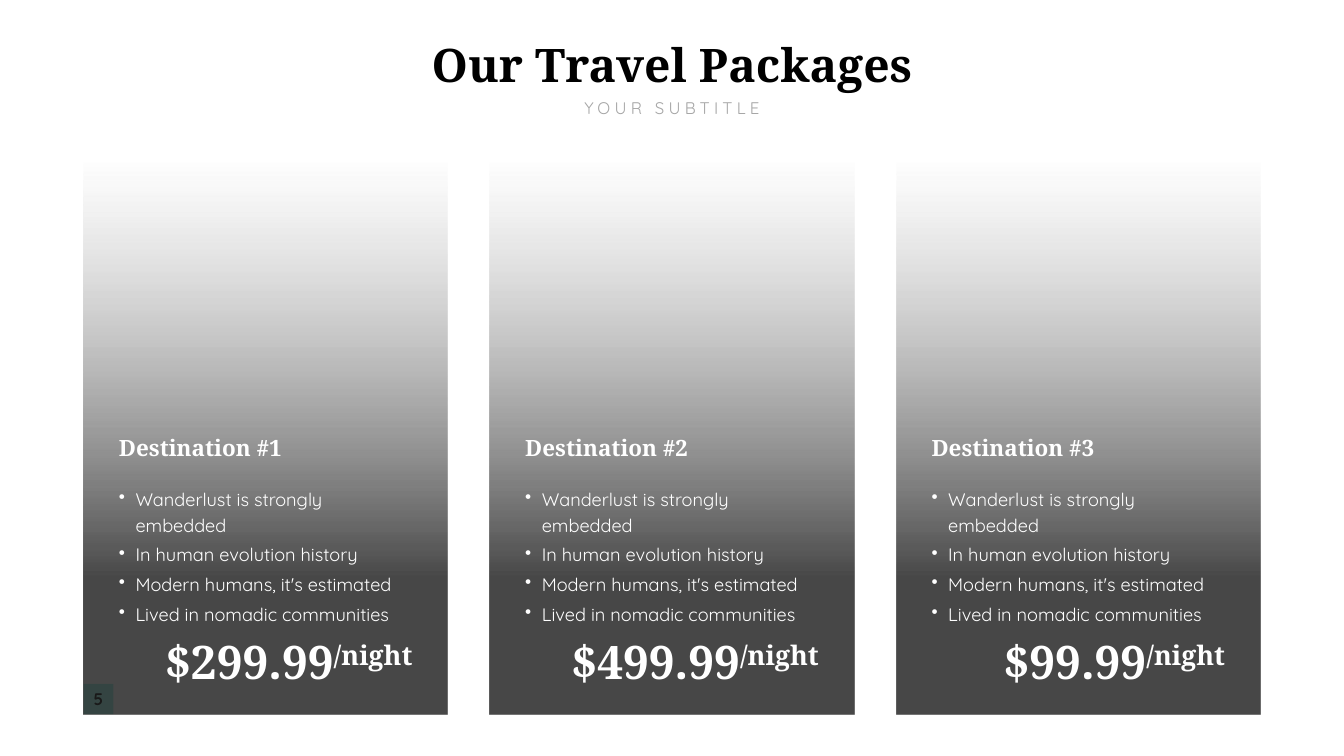
from dataclasses import dataclass

import pptx
import pptx.dml.color
import pptx.enum.shapes
import pptx.enum.text
import pptx.oxml.ns
import pptx.oxml.xmlchemy
import pptx.util
from lxml import etree
from pptx.util import Inches

COLORS = {
    "title": "000000",
    "subtitle": "A6A6A6",
    "card_text": "FFFFFF",
    "fade_top": "808080",
    "fade_bottom": "0D0D0D",
    "number_fill": "B0F3E7",
    "number_text": "424242",
}
SERIF = "Noto Serif"
SANS = "Quicksand"
LEFT = pptx.enum.text.PP_ALIGN.LEFT
CENTER = pptx.enum.text.PP_ALIGN.CENTER
RIGHT = pptx.enum.text.PP_ALIGN.RIGHT
TOP = pptx.enum.text.MSO_ANCHOR.TOP
MIDDLE = pptx.enum.text.MSO_ANCHOR.MIDDLE

CARD_LEFT, CARD_TOP = 1.66, 3.2
CARD_WIDTH, CARD_HEIGHT = 7.22, 10.97
CARD_PITCH = 8.06
TEXT_INSET = 0.6
FEATURES = [
    "Wanderlust is strongly embedded",
    "In human evolution history",
    "Modern humans, it's estimated\u00a0",
    "Lived in nomadic communities",
]


@dataclass
class Package:
    name: str
    price: str
    price_width: float


PACKAGES = [
    Package("Destination #1", "$299.99", 5.39),
    Package("Destination #2", "$499.99", 5.39),
    Package("Destination #3", "$99.99", 4.87),
]


def rgb(name: str):
    return pptx.dml.color.RGBColor.from_string(COLORS[name])


def place(shape, left: float, top: float, width: float, height: float) -> None:
    shape.left, shape.top = Inches(left), Inches(top)
    shape.width, shape.height = Inches(width), Inches(height)


def add_rectangle(slide, left: float, top: float, width: float, height: float):
    shape = slide.shapes.add_shape(
        pptx.enum.shapes.MSO_SHAPE.RECTANGLE,
        Inches(left), Inches(top), Inches(width), Inches(height),
    )
    shape.shadow.inherit = False
    shape.line.fill.background()
    return shape


def add_text_box(slide, left: float, top: float, width: float, height: float):
    return slide.shapes.add_textbox(
        Inches(left), Inches(top), Inches(width), Inches(height)
    )


def add_bullet(paragraph) -> None:
    properties = paragraph._p.get_or_add_pPr()
    properties.set("marL", str(Inches(0.33)))
    properties.set("indent", str(-Inches(0.33)))
    bullet = etree.SubElement(properties, pptx.oxml.ns.qn("a:buChar"))
    bullet.set("char", "•")


def write_text(shape, paragraphs: list[str], *, size: float, font: str, color: str,
               bold: bool = False, align=LEFT, anchor=TOP, wrap: bool = False,
               spacing: float = 0, superscript: str = "", bullets: bool = False) -> None:
    """Fill a shape with text; spacing is between letters, in points."""
    frame = shape.text_frame
    frame.word_wrap = wrap
    frame.auto_size = pptx.enum.text.MSO_AUTO_SIZE.SHAPE_TO_FIT_TEXT
    frame.vertical_anchor = anchor
    for index, text in enumerate(paragraphs):
        paragraph = frame.add_paragraph() if index else frame.paragraphs[0]
        paragraph.alignment = align
        if bullets:
            paragraph.line_spacing = pptx.util.Pt(37)
            paragraph.space_before = pptx.util.Pt(5.2 if index else 0)
            add_bullet(paragraph)
        for part in filter(None, (text, superscript)):
            run = paragraph.add_run()
            run.text = part
            run.font.size = pptx.util.Pt(size)
            run.font.name = font
            run.font.bold = bold
            run.font.color.rgb = rgb(color)
            properties = run._r.get_or_add_rPr()
            if spacing:
                properties.set("spc", str(round(spacing * 100)))
            if part == superscript:
                properties.set("baseline", "30000")


def fade_down(shape) -> None:
    """Fill from fully transparent at the top to 75% opaque."""
    shape.fill.gradient()
    shape.fill.gradient_angle = 270
    fades = [(0, "fade_top", 0), (0.75, "fade_bottom", 75)]
    for stop, (position, color, opacity) in zip(shape.fill.gradient_stops, fades):
        stop.position = position
        stop.color.rgb = rgb(color)
    stop_colors = shape._element.spPr.iter(pptx.oxml.ns.qn("a:srgbClr"))
    for element, (position, color, opacity) in zip(list(stop_colors), fades):
        alpha = etree.SubElement(element, pptx.oxml.ns.qn("a:alpha"))
        alpha.set("val", str(opacity * 1000))


def add_package_text(slide, package: Package, card_left: float) -> None:
    left = card_left + TEXT_INSET
    width = CARD_WIDTH - 2 * TEXT_INSET
    write_text(add_text_box(slide, left, 8.56, 3.46, 0.64), [package.name],
               size=32, font=SERIF, color="card_text", bold=True, anchor=MIDDLE)
    write_text(add_text_box(slide, left, 9.56, width, 2.42), FEATURES,
               size=26, font=SANS, color="card_text", wrap=True, bullets=True)
    price_left = left + width - package.price_width
    write_text(add_text_box(slide, price_left, 12.51, package.price_width, 1.21),
               [package.price], superscript="/night", size=66, font=SERIF,
               color="card_text", bold=True, align=RIGHT, anchor=MIDDLE)


def main() -> None:
    presentation = pptx.Presentation()
    presentation.slide_width = Inches(26.66)
    presentation.slide_height = Inches(15)
    slide = presentation.slides.add_slide(presentation.slide_layouts[5])

    title = slide.shapes.title
    place(title, 8.41, 0.67, 9.84, 1.21)
    write_text(title, ["Our Travel Packages"], size=66, font=SERIF,
               color="title", bold=True, align=CENTER)
    write_text(add_text_box(slide, 11.4, 1.88, 3.86, 0.5), ["YOUR SUBTITLE"],
               size=24, font=SANS, color="subtitle", align=CENTER, spacing=6)

    page_number = add_rectangle(slide, CARD_LEFT, 13.57, 0.59, 0.6)
    page_number.fill.solid()
    page_number.fill.fore_color.rgb = rgb("number_fill")
    write_text(page_number, ["5"], size=24, font=SANS, color="number_text",
               bold=True, align=CENTER, anchor=MIDDLE)

    for index, package in enumerate(PACKAGES):
        card_left = CARD_LEFT + index * CARD_PITCH
        fade_down(add_rectangle(slide, card_left, CARD_TOP, CARD_WIDTH, CARD_HEIGHT))
        add_package_text(slide, package, card_left)

    presentation.save("out.pptx")


if __name__ == "__main__":
    main()
